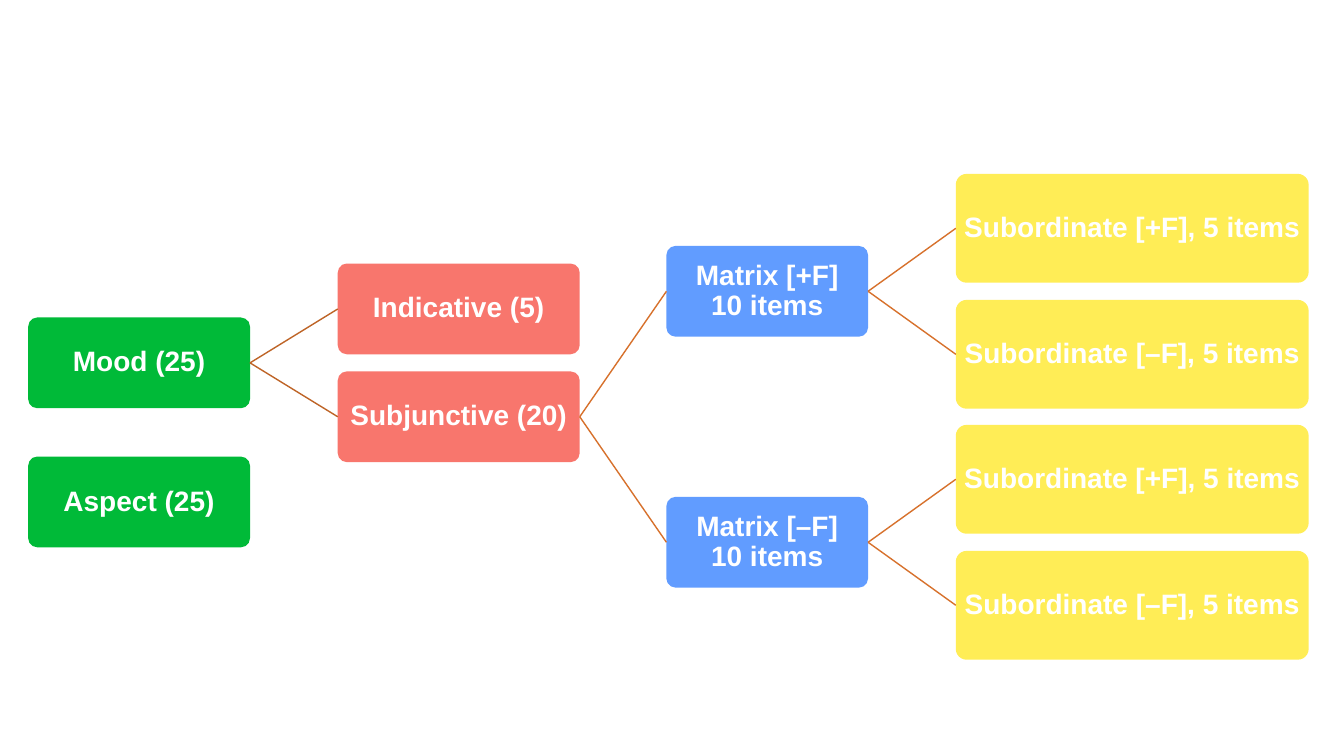
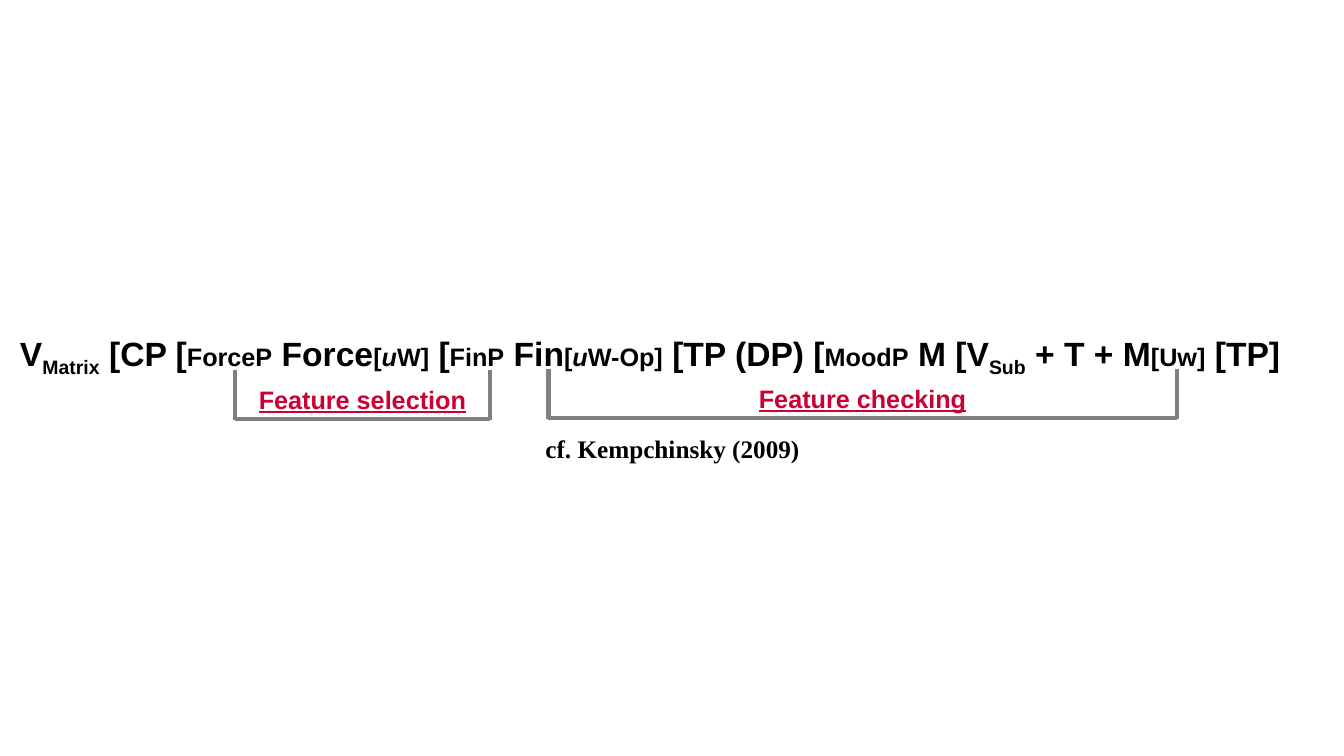
"""Builds two slides: a tree of test items and a bracketed clause structure."""
from dataclasses import dataclass
from typing import Optional

from lxml.etree import SubElement
from pptx import Presentation
from pptx.dml.color import RGBColor
from pptx.enum.shapes import MSO_CONNECTOR, MSO_SHAPE
from pptx.enum.text import MSO_ANCHOR, PP_ALIGN
from pptx.oxml.ns import qn
from pptx.shapes.autoshape import Shape
from pptx.shapes.connector import Connector
from pptx.slide import Slide
from pptx.text.text import _Paragraph as Paragraph
from pptx.util import Inches, Pt

ROUNDED = MSO_SHAPE.ROUNDED_RECTANGLE
STRAIGHT = MSO_CONNECTOR.STRAIGHT
MIDDLE = MSO_ANCHOR.MIDDLE
CENTER = PP_ALIGN.CENTER
LEFT = PP_ALIGN.LEFT
BLANK_LAYOUT = 6
LEFT_SITE = 1
RIGHT_SITE = 3


@dataclass(frozen=True)
class Theme:
    sans: str = "Arial"
    serif: str = "Times New Roman"
    large: int = 24
    node: int = 20
    small: int = 18
    black: RGBColor = RGBColor(0x00, 0x00, 0x00)
    white: RGBColor = RGBColor(0xFF, 0xFF, 0xFF)
    red: RGBColor = RGBColor(0xCC, 0x00, 0x33)
    gray: RGBColor = RGBColor(0x80, 0x80, 0x80)
    green: RGBColor = RGBColor(0x00, 0xBA, 0x38)
    coral: RGBColor = RGBColor(0xF8, 0x76, 0x6D)
    blue: RGBColor = RGBColor(0x61, 0x9C, 0xFF)
    yellow: RGBColor = RGBColor(0xFF, 0xED, 0x56)
    brown: RGBColor = RGBColor(0xBE, 0x64, 0x27)
    orange: RGBColor = RGBColor(0xD7, 0x71, 0x2C)
    link_width: float = 1
    bracket_width: float = 3


THEME = Theme()


@dataclass(frozen=True)
class Level:
    left: float
    width: float
    height: float
    pitch: float
    fill: RGBColor
    link: RGBColor


@dataclass(frozen=True)
class Node:
    lines: tuple[str, ...]
    children: tuple["Node", ...] = ()


@dataclass(frozen=True)
class Piece:
    text: str
    size: int = THEME.large
    italic: bool = False
    baseline: int = 0


@dataclass(frozen=True)
class Bracket:
    label: str
    left: float
    right: float
    top: float


LEVELS = (
    Level(0.28, 2.2, 0.9, 1.38, THEME.green, THEME.brown),
    Level(3.35, 2.4, 0.9, 1.07, THEME.coral, THEME.brown),
    Level(6.61, 2.0, 0.9, 2.49, THEME.blue, THEME.orange),
    Level(9.48, 3.5, 1.08, 1.25, THEME.yellow, THEME.orange),
)
FOREST_MIDDLE = 4.29

SUBORDINATES = tuple(Node((f"Subordinate [{sign}F], 5 items",)) for sign in "+–")
MATRICES = tuple(Node((f"Matrix [{sign}F]", "10 items"), SUBORDINATES) for sign in "+–")
MOODS = (Node(("Indicative (5)",)), Node(("Subjunctive (20)",), MATRICES))
ROOTS = (Node(("Mood (25)",), MOODS), Node(("Aspect (25)",)))

CLAUSE = (
    Piece("V"),
    Piece("Matrix", baseline=-25),
    Piece(" [CP ["),
    Piece("ForceP", THEME.small),
    Piece(" Force"),
    Piece("[", THEME.small),
    Piece("u", THEME.small, italic=True),
    Piece("W]", THEME.small),
    Piece(" ["),
    Piece("FinP", THEME.small),
    Piece(" Fin"),
    Piece("[", THEME.small),
    Piece("u", THEME.small, italic=True),
    Piece("W-Op]", THEME.small),
    Piece(" [TP (DP) ["),
    Piece("MoodP", THEME.small),
    Piece(" M [V"),
    Piece("Sub", baseline=-25),
    Piece(" + T + M"),
    Piece("[Uw]", THEME.small),
    Piece(" [TP]"),
)
BRACKETS = (
    Bracket("Feature selection", 2.33, 4.86, 3.67),
    Bracket("Feature checking", 5.44, 11.67, 3.66),
)


def add_run(paragraph: Paragraph, piece: Piece, color: RGBColor,
            name: str = THEME.sans, underline: bool = False) -> None:
    """Add one bold run to a paragraph."""
    run = paragraph.add_run()
    run.text = piece.text
    run.font.name = name
    run.font.size = Pt(piece.size)
    run.font.bold = True
    run.font.italic = piece.italic
    run.font.underline = underline
    run.font.color.rgb = color
    if piece.baseline:
        run._r.get_or_add_rPr().set("baseline", str(piece.baseline * 1000))


def add_line(slide: Slide, start: tuple[int, int], end: tuple[int, int],
             color: RGBColor, width: float) -> Connector:
    """Draw a straight line without a shadow."""
    line = slide.shapes.add_connector(STRAIGHT, *start, *end)
    line.line.color.rgb = color
    line.line.width = Pt(width)
    SubElement(line.element.spPr, qn("a:effectLst"))
    return line


def add_text(slide: Slide, left: float, top: float, width: float, height: float,
             wrap: bool = True, alignment: PP_ALIGN = CENTER) -> Paragraph:
    """Add a text box and return its paragraph."""
    box = slide.shapes.add_textbox(Inches(left), Inches(top), Inches(width), Inches(height))
    box.text_frame.word_wrap = wrap
    paragraph = box.text_frame.paragraphs[0]
    paragraph.alignment = alignment
    return paragraph


def add_node(slide: Slide, node: Node, level: Level, middle: float) -> Shape:
    """Draw the rounded box of one tree node."""
    box = slide.shapes.add_shape(ROUNDED, Inches(level.left), Inches(middle - level.height / 2),
                                 Inches(level.width), Inches(level.height))
    box.adjustments[0] = 0.1
    box.shadow.inherit = False
    box.fill.solid()
    box.fill.fore_color.rgb = level.fill
    box.line.fill.background()
    frame = box.text_frame
    frame.word_wrap = True
    frame.vertical_anchor = MIDDLE
    frame.margin_left = frame.margin_right = Inches(0.04)
    frame.margin_top = frame.margin_bottom = Inches(0.04)
    paragraph = frame.paragraphs[0]
    paragraph.alignment = CENTER
    paragraph.line_spacing = 0.9
    for index, text in enumerate(node.lines):
        if index:
            paragraph.add_line_break()
        add_run(paragraph, Piece(text, THEME.node), THEME.white)
    return box


def add_link(slide: Slide, parent: Shape, child: Shape, color: RGBColor) -> None:
    """Connect the right side of a parent to the left side of its child."""
    start = (parent.left + parent.width, parent.top + parent.height // 2)
    end = (child.left, child.top + child.height // 2)
    link = add_line(slide, start, end, color, THEME.link_width)
    link.begin_connect(parent, RIGHT_SITE)
    link.end_connect(child, LEFT_SITE)


def add_branch(slide: Slide, nodes: tuple[Node, ...], depth: int, middle: float,
               parent: Optional[Shape] = None) -> None:
    """Spread sibling nodes evenly about a middle line and draw their children."""
    if not nodes:
        return
    level = LEVELS[depth]
    for index, node in enumerate(nodes):
        node_middle = middle + (index - (len(nodes) - 1) / 2) * level.pitch
        box = add_node(slide, node, level, node_middle)
        if parent is not None:
            add_link(slide, parent, box, level.link)
        add_branch(slide, node.children, depth + 1, node_middle, box)


def add_bracket(slide: Slide, bracket: Bracket) -> None:
    """Draw an open bracket with its label inside."""
    left, right = Inches(bracket.left), Inches(bracket.right)
    top, bottom = Inches(bracket.top), Inches(bracket.top + 0.5)
    base = Inches(bracket.top + 0.49)
    for start, end in (((left, top), (left, bottom)),
                       ((right, top), (right, bottom)),
                       ((left, base), (right, base))):
        add_line(slide, start, end, THEME.gray, THEME.bracket_width)
    label = add_text(slide, bracket.left, bracket.top + 0.09, bracket.right - bracket.left, 0.4)
    add_run(label, Piece(bracket.label, THEME.small), THEME.red, underline=True)


def build_item_tree(slide: Slide) -> None:
    """Draw the tree of test items."""
    add_branch(slide, ROOTS, 0, FOREST_MIDDLE)


def build_clause(slide: Slide) -> None:
    """Draw the clause structure, its brackets and its reference."""
    clause = add_text(slide, 0.1, 3.25, 13.14, 0.5, wrap=False, alignment=LEFT)
    for piece in CLAUSE:
        add_run(clause, piece, THEME.black)
    for bracket in BRACKETS:
        add_bracket(slide, bracket)
    reference = add_text(slide, 4.75, 4.25, 3.84, 0.4)
    add_run(reference, Piece("cf. Kempchinsky (2009)", THEME.small), THEME.black, THEME.serif)


def main() -> None:
    """Build and save the presentation."""
    presentation = Presentation()
    presentation.slide_width = Inches(13.33)
    presentation.slide_height = Inches(7.5)
    for build in (build_item_tree, build_clause):
        build(presentation.slides.add_slide(presentation.slide_layouts[BLANK_LAYOUT]))
    presentation.save("out.pptx")


main()
